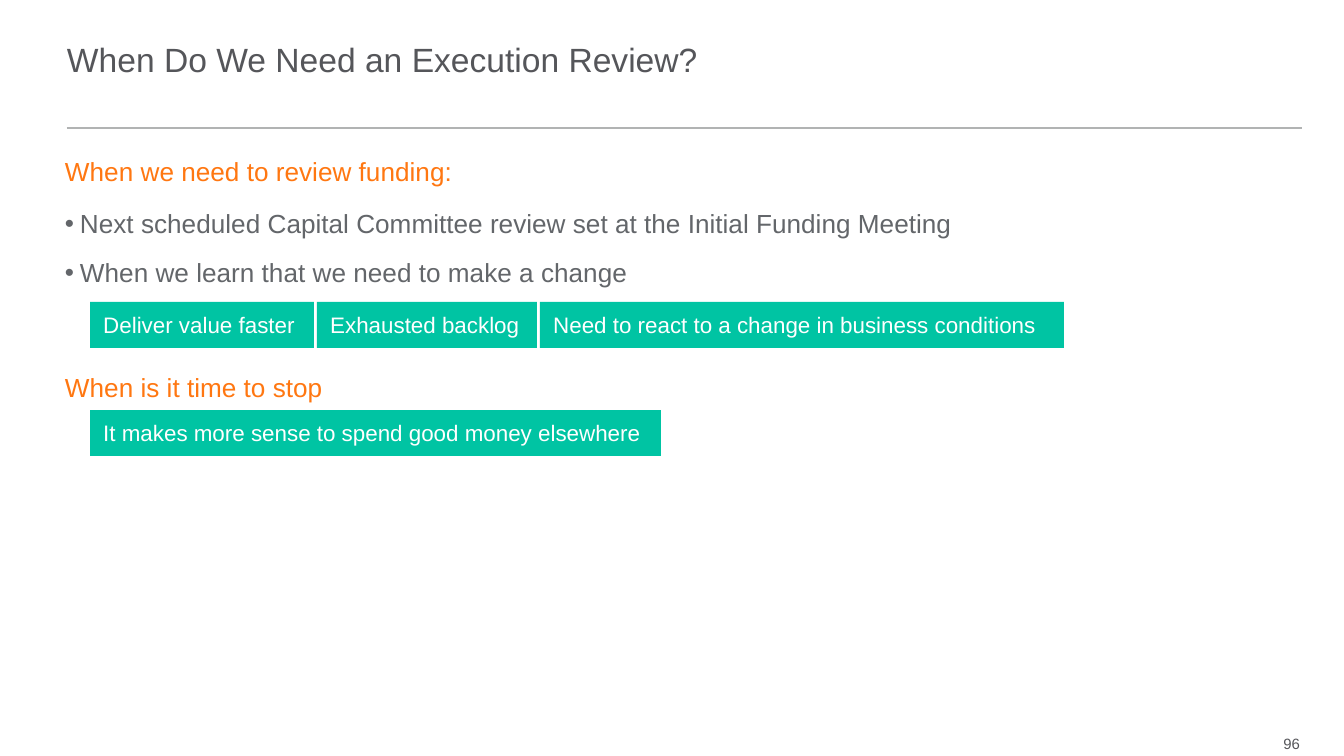
from lxml.etree import SubElement
from pptx import Presentation
from pptx.dml.color import RGBColor
from pptx.enum.shapes import MSO_CONNECTOR as CONNECTOR, MSO_SHAPE as SHAPE
from pptx.enum.text import MSO_ANCHOR as ANCHOR, MSO_AUTO_SIZE as AUTO_SIZE, PP_ALIGN as ALIGN
from pptx.oxml.ns import qn
from pptx.util import Pt

TITLE = "When Do We Need an Execution Review?"
FUNDING = [
    ("heading", "When we need to review funding:"),
    ("bullet", "Next scheduled Capital Committee review set at the Initial Funding Meeting"),
    ("bullet", "When we learn that we need to make a change"),
]
STOPPING = [("heading", "When is it time to stop")]
PAGE_NUMBER = "96"

# Each row of tags: top, then (text, width) pairs
TAG_ROWS = [
    (302, [("Deliver value faster", 224), ("Exhausted backlog", 220),
           ("Need to react to a change in business conditions", 524)]),
    (410, [("It makes more sense to spend good money elsewhere", 571)]),
]
TAG_LEFT, TAG_HEIGHT, TAG_GAP = 90, 46, 3
TEXT_LEFT, TEXT_WIDTH, BULLET_INDENT = 65, 1234, 15

COLORS = {"title": "55565A", "heading": "FF7711", "bullet": "63666A",
          "tag": "00C4A3", "tag text": "FFFFFF", "rule": "B1B3B3"}
SPACE_AFTER = {"heading": 8, "bullet": 6}


def px(*lengths):
    return [round(length * 914400 / 134.4) for length in lengths]


def rgb(name):
    return RGBColor.from_string(COLORS[name])


def style(paragraph, size, color):
    font = paragraph.font
    font.name, font.size, font.color.rgb = "Arial", Pt(size), rgb(color)


def place(box, left, top, width, height):
    box.left, box.top, box.width, box.height = px(left, top, width, height)


def clear_margins(frame):
    frame.margin_left = frame.margin_top = frame.margin_right = frame.margin_bottom = 0
    frame.word_wrap = True


def write_outline(frame, lines):
    """Fill a frame with orange headings and grey bulleted lines."""
    clear_margins(frame)
    frame.vertical_anchor = ANCHOR.TOP
    frame.auto_size = AUTO_SIZE.SHAPE_TO_FIT_TEXT
    frame.text = "\n".join(text for _, text in lines)
    for paragraph, (role, _) in zip(frame.paragraphs, lines):
        paragraph.line_spacing = 1.2
        paragraph.space_before = Pt(0)
        paragraph.space_after = Pt(SPACE_AFTER[role])
        properties = paragraph._p.get_or_add_pPr()
        indent = px(BULLET_INDENT)[0] if role == "bullet" else 0
        properties.set("marL", str(indent))
        properties.set("indent", str(-indent))
        if role == "bullet":
            SubElement(properties, qn("a:buChar"), char="•")
        else:
            SubElement(properties, qn("a:buNone"))
        style(paragraph, 14, role)


def add_tag(shapes, text, left, top, width):
    tag = shapes.add_shape(SHAPE.RECTANGLE, *px(left, top, width, TAG_HEIGHT))
    tag.shadow.inherit = False
    tag.fill.solid()
    tag.fill.fore_color.rgb = rgb("tag")
    tag.line.fill.background()
    frame = tag.text_frame
    frame.text = text
    frame.vertical_anchor = ANCHOR.MIDDLE
    frame.paragraphs[0].alignment = ALIGN.LEFT
    style(frame.paragraphs[0], 12, "tag text")


def main():
    deck = Presentation()
    deck.slide_width, deck.slide_height = px(1344, 756)
    slide = deck.slides.add_slide(deck.slide_layouts[1])
    shapes = slide.shapes

    rule = shapes.add_connector(CONNECTOR.STRAIGHT, *px(67, 128, 1302, 128))
    rule.line.color.rgb = rgb("rule")
    rule.line.width = Pt(1)
    SubElement(rule._element.spPr, qn("a:effectLst"))

    title = shapes.title
    place(title, 67, 10, 974, 98)
    title.text_frame.text = TITLE
    clear_margins(title.text_frame)
    title.text_frame.vertical_anchor = ANCHOR.MIDDLE
    title.text_frame.paragraphs[0].alignment = ALIGN.LEFT
    style(title.text_frame.paragraphs[0], 18, "title")

    funding = slide.placeholders[1]
    place(funding, TEXT_LEFT, 149, TEXT_WIDTH, 140)
    write_outline(funding.text_frame, FUNDING)

    stopping = shapes.add_textbox(*px(TEXT_LEFT, 365, TEXT_WIDTH, 35))
    write_outline(stopping.text_frame, STOPPING)

    for top, tags in TAG_ROWS:
        left = TAG_LEFT
        for text, width in tags:
            add_tag(shapes, text, left, top, width)
            left += width + TAG_GAP

    number = shapes.add_textbox(*px(1243, 730, 57, 27)).text_frame
    number.text = PAGE_NUMBER
    clear_margins(number)
    number.vertical_anchor = ANCHOR.MIDDLE
    number.paragraphs[0].alignment = ALIGN.RIGHT
    style(number.paragraphs[0], 8, "title")

    deck.save("out.pptx")


if __name__ == "__main__":
    main()
